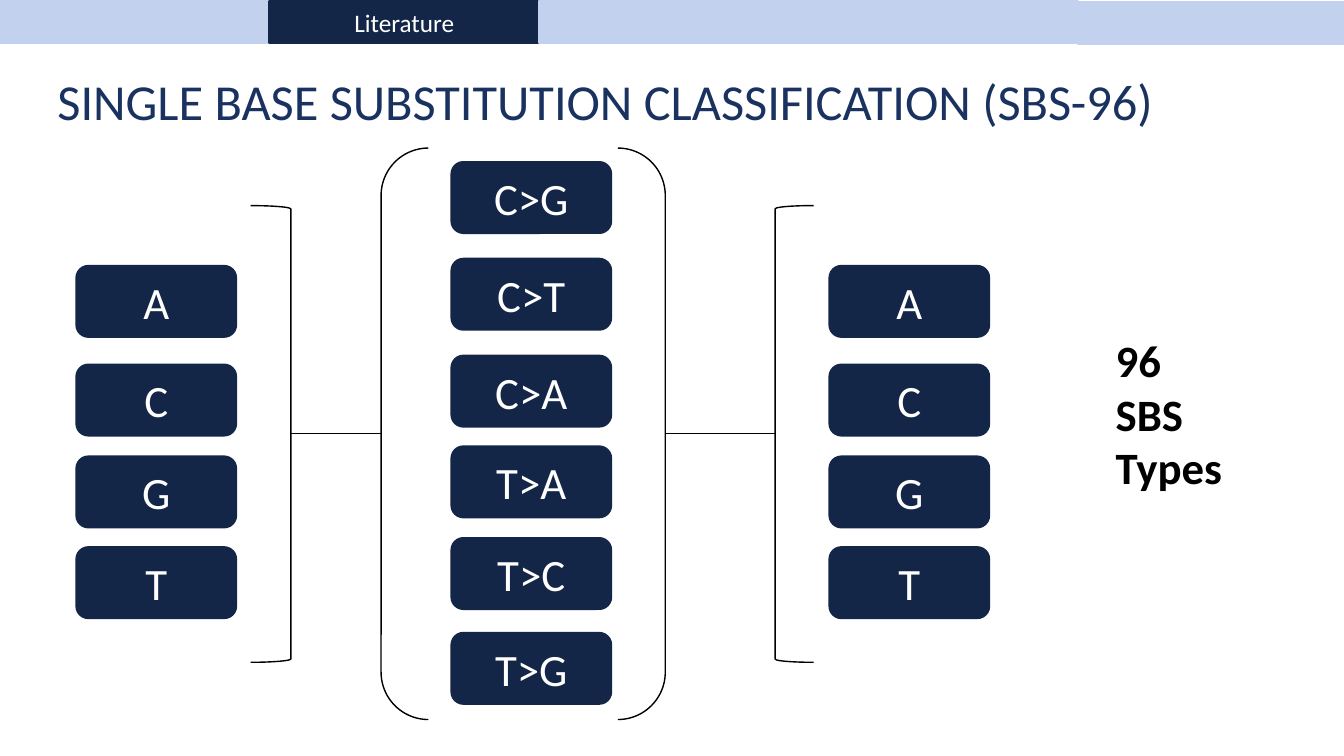
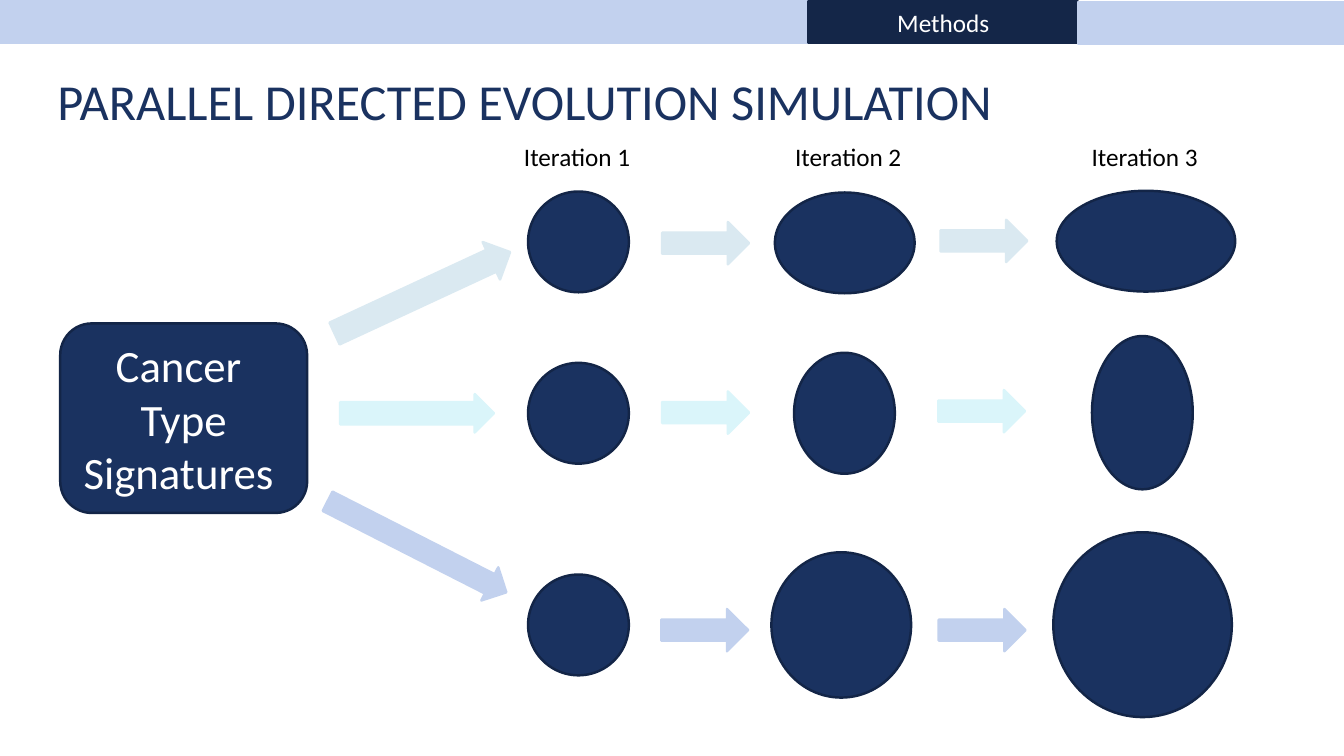
import dataclasses
import typing

import lxml.etree
import pptx
import pptx.dml.color
import pptx.enum.shapes
import pptx.enum.text
import pptx.oxml.ns
import pptx.util

Pt = pptx.util.Pt
SHAPE = pptx.enum.shapes.MSO_SHAPE
ALIGN = pptx.enum.text.PP_ALIGN
ANCHOR = pptx.enum.text.MSO_ANCHOR
AUTO = pptx.enum.text.MSO_AUTO_SIZE

FONT = "Calibri"
NAVY, BLUE, EDGE = "142648", "1A3260", "132547"
PALE, MIST, AQUA = "C2D1EE", "DAE9F1", "DAF5FA"
WHITE, BLACK = "FFFFFF", "000000"

TAB_W, TAB_H = 192.5, 30.2
TAB_COUNT = 5
CHIP_W, CHIP_H = 113.8, 50.4


@dataclasses.dataclass(frozen=True)
class Box:
    x: float
    y: float
    w: float
    h: float

    def emu(self) -> tuple[int, ...]:
        return Pt(self.x), Pt(self.y), Pt(self.w), Pt(self.h)


@dataclasses.dataclass(frozen=True)
class ChipColumn:
    x: float
    tops: tuple[float, ...]
    labels: tuple[str, ...]


@dataclasses.dataclass(frozen=True)
class Lane:
    color: str
    start: Box
    angle: float
    cells: tuple[Box, ...]
    steps: tuple[tuple[float, float], ...]


def set_color(target: typing.Any, color: str) -> None:
    target.rgb = pptx.dml.color.RGBColor.from_string(color)


def write(tf: typing.Any, lines: typing.Sequence[str], size: float, color: str,
          align: typing.Any = ALIGN.LEFT, bold: bool = False) -> None:
    for i, text in enumerate(lines):
        p = tf.paragraphs[0] if i == 0 else tf.add_paragraph()
        p.alignment = align
        r = p.add_run()
        r.text = text
        r.font.name = FONT
        r.font.size = Pt(size)
        r.font.bold = bold
        set_color(r.font.color, color)


def add_shape(s: typing.Any, kind: typing.Any, box: Box, fill: str | None, line: str,
              width: float = 1.75, lines: typing.Sequence[str] = (), size: float = 32) -> typing.Any:
    sp = s.shapes.add_shape(kind, *box.emu())
    sp.shadow.inherit = False
    if fill is None:
        sp.fill.background()
    else:
        sp.fill.solid()
        set_color(sp.fill.fore_color, fill)
    set_color(sp.line.color, line)
    sp.line.width = Pt(width)
    if lines:
        sp.text_frame.vertical_anchor = ANCHOR.MIDDLE
        write(sp.text_frame, lines, size, WHITE, ALIGN.CENTER)
    return sp


def add_label(s: typing.Any, box: Box, lines: typing.Sequence[str], size: float,
              bold: bool = False) -> None:
    tf = s.shapes.add_textbox(*box.emu()).text_frame
    tf.word_wrap = False
    tf.auto_size = AUTO.SHAPE_TO_FIT_TEXT
    write(tf, lines, size, BLACK, bold=bold)


def add_line(s: typing.Any, x1: float, x2: float, y: float) -> None:
    straight = pptx.enum.shapes.MSO_CONNECTOR.STRAIGHT
    line = s.shapes.add_connector(straight, Pt(x1), Pt(y), Pt(x2), Pt(y))
    set_color(line.line.color, BLACK)
    line.line.width = Pt(1)
    lxml.etree.SubElement(line._element.spPr, pptx.oxml.ns.qn("a:effectLst"))


def add_slide(prs: typing.Any, title: str, section: str, active: int) -> typing.Any:
    s = prs.slides.add_slide(prs.slide_layouts[5])
    sp = s.shapes.title
    sp.left, sp.top, sp.width, sp.height = Box(33.8, 46.8, 890, 50.4).emu()
    tf = sp.text_frame
    tf.word_wrap = True
    tf.auto_size = AUTO.NONE
    tf.vertical_anchor = ANCHOR.BOTTOM
    write(tf, [title], 36, BLUE)
    for i in range(TAB_COUNT):
        last = i == TAB_COUNT - 1
        box = Box(i * TAB_W, 1.4 if last else 0.7, 190 if last else TAB_W, TAB_H)
        color = NAVY if i == active else PALE
        add_shape(s, SHAPE.RECTANGLE, box, color, color,
                  lines=[section] if i == active else (), size=18)
    return s


def build_classification(prs: typing.Any) -> None:
    s = add_slide(prs, "SINGLE BASE SUBSTITUTION CLASSIFICATION (SBS-96)", "Literature", 1)
    bases = ("A", "C", "G", "T")
    base_tops = (190.1, 260.6, 326.2, 391)
    columns = (
        ChipColumn(54.7, base_tops, bases),
        ChipColumn(322.6, (115.9, 185, 254.2, 319, 384.5, 452.2),
                   ("C>G", "C>T", "C>A", "T>A", "T>C", "T>G")),
        ChipColumn(592.6, base_tops, bases),
    )
    for column in columns:
        for top, label in zip(column.tops, column.labels):
            add_shape(s, SHAPE.ROUNDED_RECTANGLE, Box(column.x, top, CHIP_W, CHIP_H),
                      NAVY, NAVY, lines=[label])
    brackets = (
        (SHAPE.RIGHT_BRACKET, Box(179, 146.9, 28.8, 326.2)),
        (SHAPE.DOUBLE_BRACKET, Box(272.2, 105.8, 203, 408.2)),
        (SHAPE.LEFT_BRACKET, Box(553.7, 146.9, 27.4, 326.2)),
    )
    for kind, box in brackets:
        add_shape(s, kind, box, None, BLACK, 1)
    for x1, x2 in ((207.8, 272.2), (475.2, 553.7)):
        add_line(s, x1, x2, 309.8)
    add_label(s, Box(789.8, 234, 108.7, 123.8), ["96", "SBS", "Types"], 32, bold=True)


def build_simulation(prs: typing.Any) -> None:
    s = add_slide(prs, "PARALLEL DIRECTED EVOLUTION SIMULATION", "Methods", 3)
    add_shape(s, SHAPE.ROUNDED_RECTANGLE, Box(43, 231, 176.4, 135.4), BLUE, EDGE,
              lines=["Cancer ", "Type Signatures "])
    lanes = (
        Lane(MIST, Box(232.6, 194.4, 138.2, 29.5), 335.1,
             (Box(377.2, 136.8, 72, 72), Box(553.5, 137.5, 99.8, 72),
              Box(754.8, 136.3, 127.5, 72)),
             ((473, 158.6), (671.8, 157))),
        Lane(AQUA, Box(243, 281.5, 109.8, 27.4), 0,
             (Box(377.2, 259.2, 72, 72), Box(567.2, 252, 72, 86.4),
              Box(780, 240, 72, 109.5)),
             ((473, 279.6), (670.2, 278.6))),
        Lane(PALE, Box(226.2, 377.3, 143.3, 26.6), 27,
             (Box(377.2, 410.4, 72, 72), Box(551, 394.5, 99.8, 103.8),
              Box(752.4, 380.2, 127.5, 132)),
             ((472.4, 435), (670.5, 435))),
    )
    for lane in lanes:
        for cell in lane.cells:
            add_shape(s, SHAPE.OVAL, cell, BLUE, EDGE)
        for x, y in lane.steps:
            add_shape(s, SHAPE.RIGHT_ARROW, Box(x, y, 62, 30.2), lane.color, lane.color)
        arrow = add_shape(s, SHAPE.RIGHT_ARROW, lane.start, lane.color, lane.color)
        arrow.adjustments[0] = 0.58
        arrow.rotation = lane.angle
    for i, x in enumerate((367.2, 560.9, 772.6), 1):
        add_label(s, Box(x, 97.2, 92.2, 28.8), [f"Iteration {i}"], 18)


def main() -> None:
    prs = pptx.Presentation()
    prs.slide_width, prs.slide_height = Pt(960), Pt(540)
    build_classification(prs)
    build_simulation(prs)
    prs.save("out.pptx")


if __name__ == "__main__":
    main()
